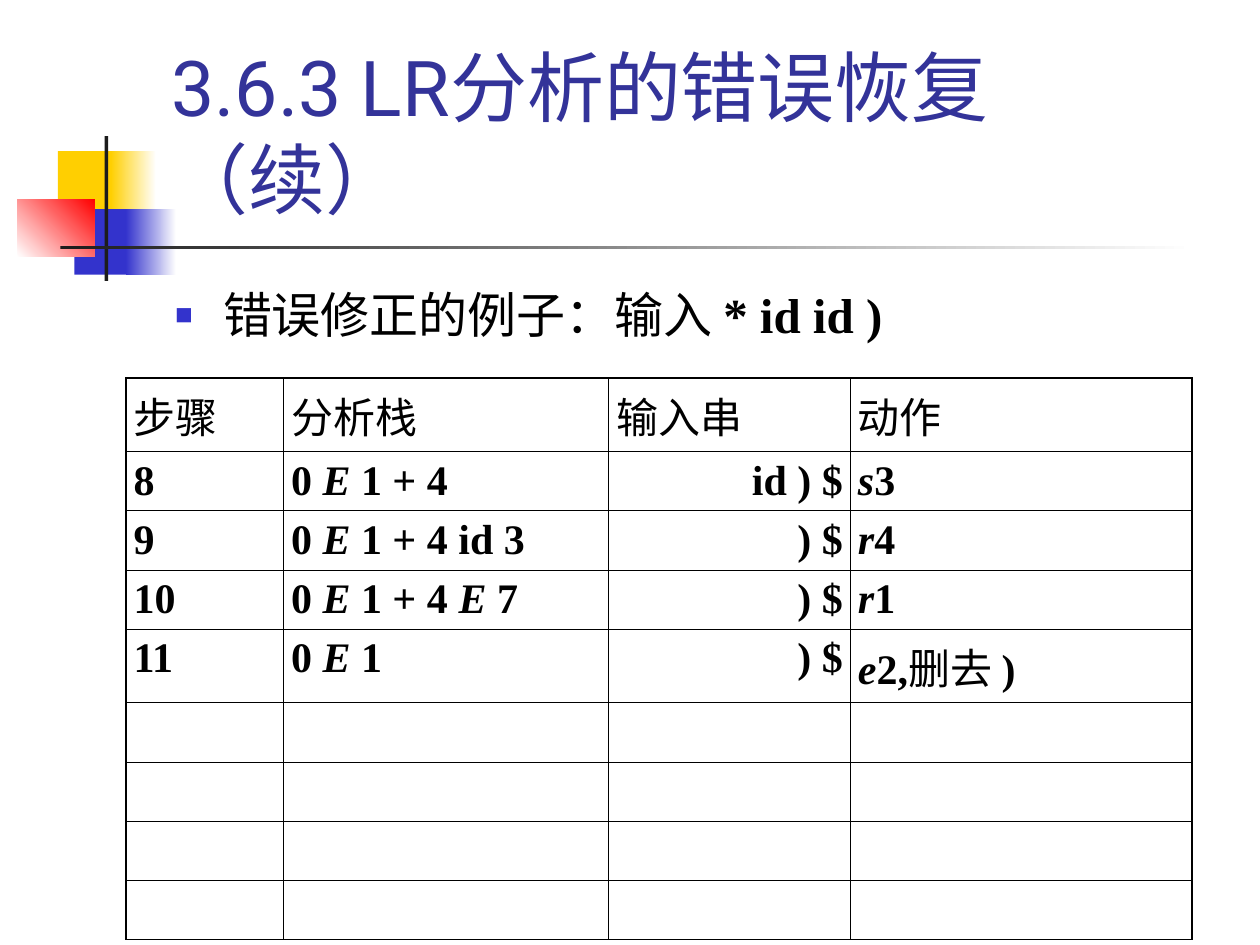
from lxml.etree import SubElement
from pptx import Presentation
from pptx.dml.color import RGBColor
from pptx.enum.shapes import MSO_SHAPE
from pptx.enum.text import MSO_ANCHOR, MSO_AUTO_SIZE, PP_ALIGN
from pptx.oxml.ns import qn
from pptx.util import Inches, Pt

COLORS = {
    "yellow": "FFCF01", "blue": "3333CC", "red": "FF0000", "dark": "1C1C1C",
    "white": "FFFFFF", "title": "333399", "text": "000000",
}
TITLE = "3.6.3 LR分析的错误恢复（续）"
EXAMPLE = ["错误修正的例子：输入 ", "* id id )"]
DECORATIONS = [
    ((0.46, 1.2, 0.48, 0.52), ["yellow"], 0),
    ((0.88, 1.2, 0.36, 0.52), ["yellow", "white"], 0),
    ((0.59, 1.66, 0.46, 0.52), ["blue"], 0),
    ((1, 1.66, 0.4, 0.52), ["blue", "white"], 0),
    ((0.14, 1.58, 0.61, 0.46), ["white", "red"], 45),
    ((0.83, 1.08, 0.03, 1.15), ["dark"], 0),
    ((0.48, 1.95, 9, 0.03), ["dark", "white"], 0),
]
ROWS = [
    [["步骤"], ["分析栈"], ["输入串"], ["动作"]],
    [["8"], ["0 ", "E", " 1 + 4"], ["id ) $"], ["s", "3"]],
    [["9"], ["0 ", "E", " 1 + 4 id 3"], [") $"], ["r", "4"]],
    [["10"], ["0 ", "E", " 1 + 4 ", "E", " 7"], [") $"], ["r", "1"]],
    [["11"], ["0 ", "E", " 1"], [") $"], ["e", "2,", "删去 ", ")"]],
] + [[[], [], [], []]] * 4
SYMBOLS = {"E", "s", "r", "e"}
COLUMN_WIDTHS = [1.25, 2.58, 1.92, 2.71]
ROW_HEIGHTS = [0.58, 0.47, 0.47, 0.47, 0.58, 0.47, 0.47, 0.47, 0.47]
INPUT_COLUMN = 2
OUTER_LINE, INNER_LINE = 1.08, 0.45


def rgb(name):
    """Return the named colour."""
    return RGBColor.from_string(COLORS[name])


def place(shape, left, top, width, height):
    """Move and size a shape, in inches."""
    shape.left, shape.top = Inches(left), Inches(top)
    shape.width, shape.height = Inches(width), Inches(height)


def set_font(paragraph, name, size, color):
    """Set the font shared by all runs of a paragraph."""
    paragraph.font.name = name
    paragraph.font.size = Pt(size)
    paragraph.font.color.rgb = rgb(color)


def add_runs(paragraph, pieces):
    """Add Latin pieces in bold, grammar symbols in italics, Chinese plain."""
    for piece in pieces:
        run = paragraph.add_run()
        run.text = piece
        run.font.bold = piece.isascii()
        run.font.italic = piece in SYMBOLS


def add_decoration(slide, box, colors, angle):
    """Add a solid or gradient rectangle."""
    shape = slide.shapes.add_shape(MSO_SHAPE.RECTANGLE, *map(Inches, box))
    shape.shadow.inherit = False
    shape.line.fill.background()
    if len(colors) == 1:
        shape.fill.solid()
        shape.fill.fore_color.rgb = rgb(colors[0])
    else:
        shape.fill.gradient()
        shape.fill.gradient_angle = angle
        for stop, color in zip(shape.fill.gradient_stops, colors):
            stop.color.rgb = rgb(color)


def add_title(slide):
    """Fill the title placeholder."""
    title = slide.shapes.title
    place(title, 1.26, 0.23, 8.52, 1.6)
    frame = title.text_frame
    frame.text = TITLE
    frame.auto_size = MSO_AUTO_SIZE.NONE
    frame.vertical_anchor = MSO_ANCHOR.BOTTOM
    frame.paragraphs[0].alignment = PP_ALIGN.LEFT
    set_font(frame.paragraphs[0], "Roboto", 44, "title")


def add_example(slide):
    """Fill the body placeholder with its bulleted line."""
    body = slide.placeholders[1]
    place(body, 1.29, 2.21, 8.12, 4.5)
    body.text_frame.auto_size = MSO_AUTO_SIZE.NONE
    paragraph = body.text_frame.paragraphs[0]
    paragraph.space_before = Pt(0)
    properties = paragraph._p.get_or_add_pPr()
    properties.set("marL", str(Inches(0.38)))
    properties.set("indent", str(Inches(-0.38)))
    bullet_color = SubElement(properties, qn("a:buClr"))
    SubElement(bullet_color, qn("a:srgbClr"), val=COLORS["blue"])
    SubElement(properties, qn("a:buSzPct"), val="60000")
    SubElement(properties, qn("a:buChar"), char="■")
    set_font(paragraph, "Times New Roman", 28, "text")
    add_runs(paragraph, EXAMPLE)


def set_borders(cell, outer_sides):
    """Draw the four cell borders, thicker on the table's outside."""
    properties = cell._tc.get_or_add_tcPr()
    for index, side in enumerate(("L", "R", "T", "B")):
        width = OUTER_LINE if side in outer_sides else INNER_LINE
        line = properties.makeelement(qn(f"a:ln{side}"), {"w": str(Pt(width))})
        fill = SubElement(line, qn("a:solidFill"))
        SubElement(fill, qn("a:srgbClr"), val=COLORS["text"])
        properties.insert(index, line)


def add_steps_table(slide):
    """Add the table of parsing steps."""
    last_row, last_column = len(ROWS) - 1, len(COLUMN_WIDTHS) - 1
    box = (1, 3, sum(COLUMN_WIDTHS), sum(ROW_HEIGHTS))
    table = slide.shapes.add_table(
        len(ROWS), len(COLUMN_WIDTHS), *map(Inches, box)).table
    table.first_row = table.horz_banding = False
    for column, width in zip(table.columns, COLUMN_WIDTHS):
        column.width = Inches(width)
    for row, height in zip(table.rows, ROW_HEIGHTS):
        row.height = Inches(height)
    for i, row in enumerate(ROWS):
        for j, pieces in enumerate(row):
            cell = table.cell(i, j)
            cell.fill.background()
            cell.margin_left = cell.margin_right = Inches(0.06)
            cell.margin_top = cell.margin_bottom = Inches(0.05)
            edges = {"L": j == 0, "R": j == last_column, "T": i == 0, "B": i == last_row}
            set_borders(cell, [side for side, outer in edges.items() if outer])
            paragraph = cell.text_frame.paragraphs[0]
            if i > 0 and j == INPUT_COLUMN:
                paragraph.alignment = PP_ALIGN.RIGHT
            set_font(paragraph, "Times New Roman", 24, "text")
            add_runs(paragraph, pieces)


def main():
    """Build the slide and save it."""
    presentation = Presentation()
    presentation.slide_width, presentation.slide_height = Inches(10), Inches(7.5)
    slide = presentation.slides.add_slide(presentation.slide_layouts[1])
    for decoration in DECORATIONS:
        add_decoration(slide, *decoration)
    add_title(slide)
    add_example(slide)
    add_steps_table(slide)
    presentation.save("out.pptx")


if __name__ == "__main__":
    main()
